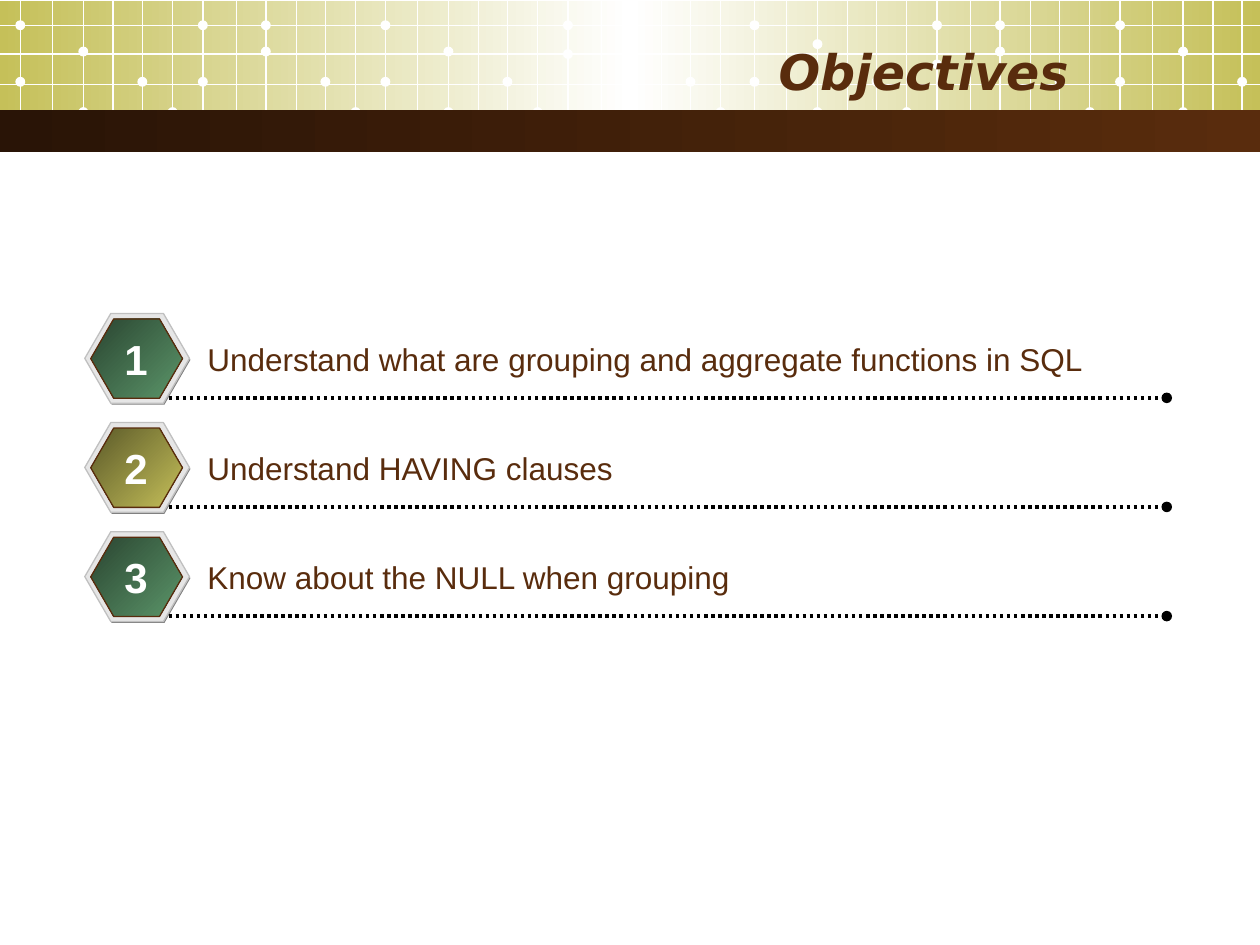
from lxml import etree
from pptx import Presentation
from pptx.dml.color import RGBColor
from pptx.enum.dml import MSO_LINE
from pptx.enum.shapes import MSO_CONNECTOR, MSO_SHAPE
from pptx.enum.text import MSO_ANCHOR, PP_ALIGN
from pptx.oxml.ns import qn
from pptx.util import Cm, Pt

BROWN, WHITE = "592C0D", "FFFFFF"
GREEN, OLIVE = ("2A4531", "5B9569"), ("5B5929", "C5C059")


def rgb(value):
    return RGBColor.from_string(value)


class Deck:
    title_font = "DejaVu Sans"
    body_font = "Arial"

    def __init__(self, prs):
        self.s = prs.slides.add_slide(prs.slide_layouts[6])

    def shape(self, kind, x, y, w, h, fill, line=None, angle=0):
        """Fill is one colour, or a tuple of evenly spaced gradient colours."""
        sp = self.s.shapes.add_shape(kind, Cm(x), Cm(y), Cm(w), Cm(h))
        sp.shadow.inherit = False
        if isinstance(fill, tuple):
            self.gradient(sp, fill, angle)
        else:
            sp.fill.solid()
            sp.fill.fore_color.rgb = rgb(fill)
        if line:
            sp.line.color.rgb = rgb(line)
            sp.line.width = Pt(0.75)
        else:
            sp.line.fill.background()
        return sp

    def gradient(self, sp, colors, angle):
        sp.fill.gradient()
        sp.fill.gradient_angle = angle
        stops = sp._element.spPr.find(".//" + qn("a:gsLst"))
        for old in list(stops):
            stops.remove(old)
        for i, color in enumerate(colors):
            pos = str(100000 * i // (len(colors) - 1))
            gs = etree.SubElement(stops, qn("a:gs"), pos=pos)
            etree.SubElement(gs, qn("a:srgbClr"), val=color)

    def hexagon(self, x, y, w, h, fill, line=None, angle=0):
        sp = self.shape(MSO_SHAPE.HEXAGON, x, y, w, h, fill, line, angle)
        sp.adjustments[0] = 0.29

    def dot(self, cx, cy, d=0.2):
        self.shape(MSO_SHAPE.OVAL, cx - d / 2, cy - d / 2, d, d, WHITE)

    def line(self, x1, y1, x2, y2, color, width):
        c = self.s.shapes.add_connector(
            MSO_CONNECTOR.STRAIGHT, Cm(x1), Cm(y1), Cm(x2), Cm(y2))
        c.line.color.rgb = rgb(color)
        c.line.width = Pt(width)
        etree.SubElement(c._element.spPr, qn("a:effectLst"))
        return c

    def dotted_line(self, x1, y1, x2, y2):
        c = self.line(x1, y1, x2, y2, "000000", 2)
        c.line.dash_style = MSO_LINE.ROUND_DOT
        etree.SubElement(c.line._get_or_add_ln(), qn("a:tailEnd"), type="oval")

    def text(self, x, y, w, h, text, size, color, align=PP_ALIGN.LEFT,
             font=body_font, bold=False, italic=False, wrap=True):
        tf = self.s.shapes.add_textbox(Cm(x), Cm(y), Cm(w), Cm(h)).text_frame
        tf.word_wrap = wrap
        tf.vertical_anchor = MSO_ANCHOR.MIDDLE
        tf.text = text
        p = tf.paragraphs[0]
        p.alignment = align
        r = p.runs[0]
        r.font.name, r.font.size = font, Pt(size)
        r.font.bold, r.font.italic = bold, italic
        r.font.color.rgb = rgb(color)


def header(d):
    d.shape(MSO_SHAPE.RECTANGLE, 0, 0.02, 25.4, 2.6, ("C5C059", WHITE, "C5C059"))

    # Grid: one pattern of columns and dots, tiled across the band
    columns = (0, 0.65, 1.27, 1.87, 2.46, 3.07, 3.68, 4.36, 4.95, 5.56, 6.15, 6.76)
    dots = {0: (0.51, 1.65), 2: (1.04, 2.26), 4: (1.65,), 5: (2.26,),
            6: (0.51, 1.65), 8: (0.51, 1.04), 10: (1.65,), 11: (2.26,)}
    moved = {(1, 6): (0.51, 1.09), (2, 2): (0.89, 2.26), (2, 6): (0.51, 1.3)}
    for tile, left in enumerate((0.41, 7.77, 15.21, 22.58)):
        for i, offset in enumerate(columns):
            x = left + offset
            if x > 25.4:
                break
            d.line(x, 0, x, 2.79, WHITE, 0.75)
            for y in moved.get((tile, i), dots.get(i, ())):
                d.dot(x, y)
    for y in (0.51, 1.09, 1.7, 2.26):
        d.line(0, y, 25.4, y, WHITE, 0.75)

    # Dark bar and title
    d.shape(MSO_SHAPE.RECTANGLE, 0, 2.22, 25.4, 0.85, ("291406", BROWN))
    d.text(1.27, 0.64, 20.52, 1.57, "Objectives", 28, BROWN, PP_ALIGN.RIGHT,
           font=d.title_font, bold=True, italic=True)


def objective(d, number, y, text, colors):
    # Badge
    d.hexagon(1.73, y + 0.03, 2.11, 1.81, "808080")
    d.hexagon(1.71, y, 2.11, 1.81, "E6E6E6", "C0C0C0")
    d.hexagon(1.83, y + 0.11, 1.85, 1.6, colors, BROWN, angle=315)

    # Rule and wording
    d.dotted_line(3.4, y + 1.7, 23.52, y + 1.7)
    d.text(3.93, y + 0.41, 19.9, 1.02, text, 18, BROWN)
    d.text(2.26, y + 0.28, 0.97, 1.27, str(number), 24, WHITE,
           PP_ALIGN.CENTER, bold=True, wrap=False)


def main():
    prs = Presentation()
    prs.slide_width, prs.slide_height = Cm(25.4), Cm(19.05)
    d = Deck(prs)
    header(d)
    objectives = (
        ("Understand what are grouping and aggregate functions in SQL", GREEN),
        ("Understand HAVING clauses", OLIVE),
        ("Know about the NULL when grouping", GREEN),
    )
    for i, (text, colors) in enumerate(objectives):
        objective(d, i + 1, 6.32 + 2.2 * i, text, colors)
    prs.save("out.pptx")


if __name__ == "__main__":
    main()
